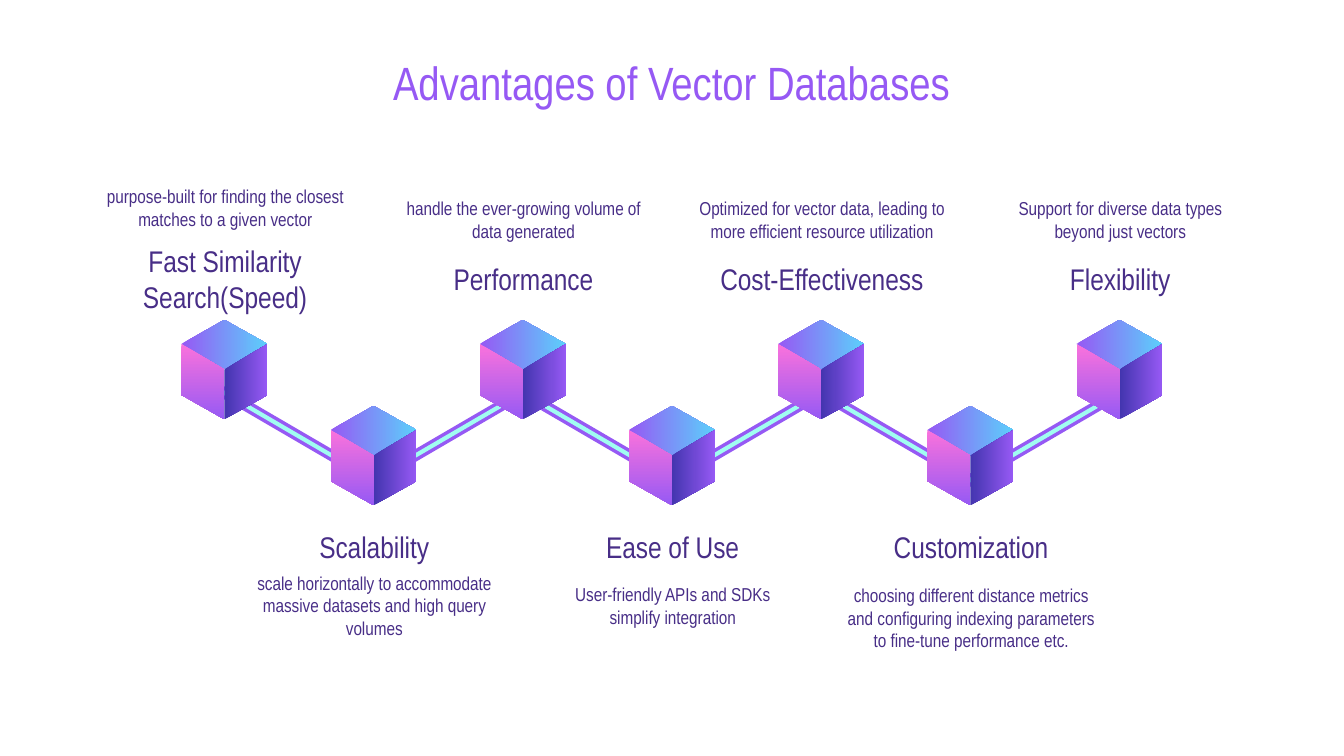
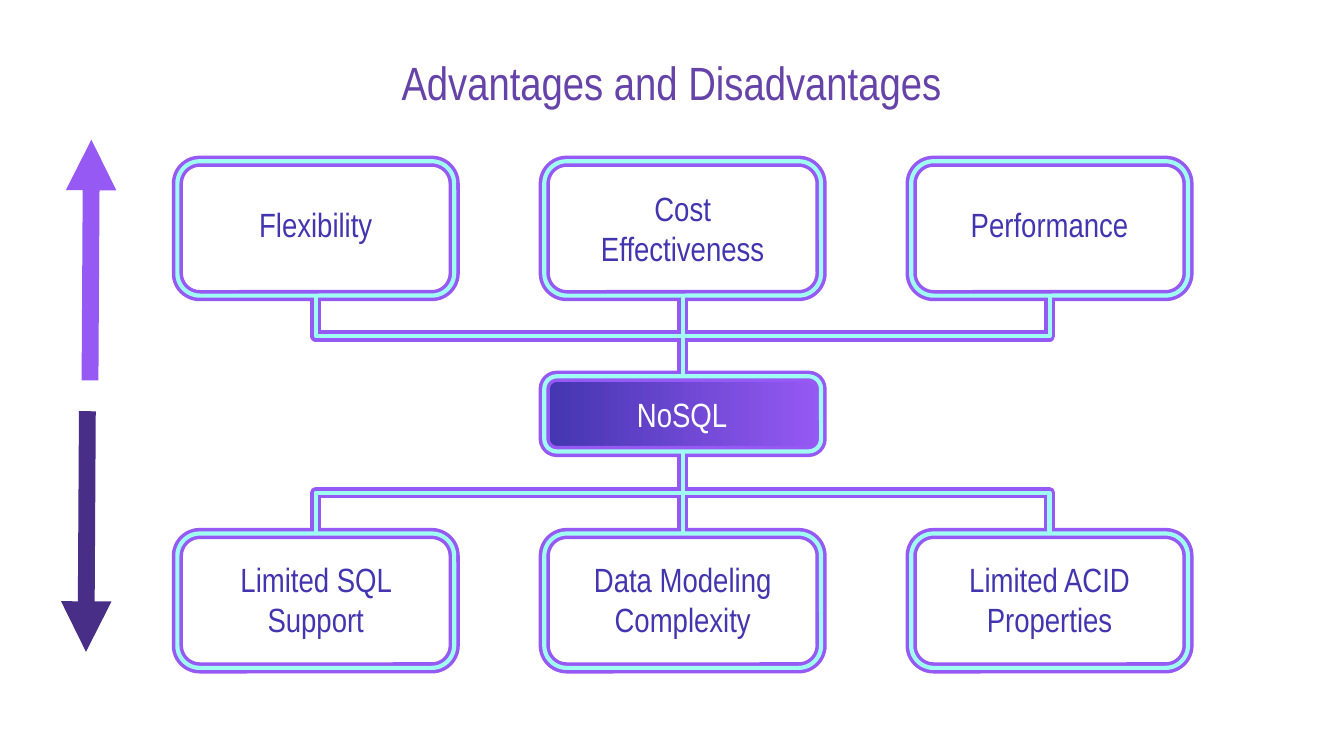
from lxml.etree import SubElement
from pptx import Presentation
from pptx.dml.color import RGBColor
from pptx.enum.shapes import MSO_CONNECTOR, MSO_SHAPE
from pptx.enum.text import MSO_ANCHOR, MSO_AUTO_SIZE, PP_ALIGN
from pptx.oxml.ns import qn
from pptx.util import Inches, Pt

FONT = "Arial Narrow"
PURPLE = RGBColor(0x96, 0x59, 0xF4)
MUTED_PURPLE = RGBColor(0x65, 0x43, 0xA8)
DARK_PURPLE = RGBColor(0x48, 0x2E, 0x87)
INDIGO = RGBColor(0x43, 0x35, 0xAF)
SKY = RGBColor(0x5C, 0xCF, 0xFB)
PINK = RGBColor(0xFA, 0x72, 0xDC)
AQUA = RGBColor(0xA0, 0xFD, 0xF1)
WHITE = RGBColor(0xFF, 0xFF, 0xFF)
STROKES = [(PURPLE, 6), (AQUA, 2.25)]

VECTOR_TITLE = "Advantages of Vector Databases"
VECTOR_ADVANTAGES = [
    ("Fast Similarity Search(Speed)", "purpose-built for finding the closest matches to a given vector", 1.24),
    ("Scalability", "scale horizontally to accommodate massive datasets and high query volumes", 4.2),
    ("Performance", "handle the ever-growing volume of data generated", 1.33),
    ("Ease of Use", "User-friendly APIs and SDKs simplify integration", 4.2),
    ("Cost-Effectiveness", "Optimized for vector data, leading to more efficient resource utilization", 1.33),
    ("Customization", "choosing different distance metrics and configuring indexing parameters "
                      "to fine-tune performance etc.", 4.29),
    ("Flexibility", "Support for diverse data types beyond just vectors", 1.33),
]
CUBE_FACES = [
    ([(0, 0.37), (-0.32, 0.18), (0, 0), (0.32, 0.18)], PURPLE, SKY, 0),
    ([(-0.32, 0.18), (-0.32, 0.56), (0, 0.74), (0, 0.37)], PINK, PURPLE, 270),
    ([(0.32, 0.18), (0, 0.37), (0, 0.74), (0.32, 0.56)], INDIGO, PURPLE, 0),
]

NOSQL_TITLE = "Advantages and Disadvantages"
HUB_TEXT = "NoSQL"
ADVANTAGES = ["Flexibility", "Cost\nEffectiveness", "Performance"]
DISADVANTAGES = ["Limited SQL Support", "Data Modeling Complexity", "Limited ACID Properties"]
ARROWS = [
    ((0.67, 2.83), (0.68, 1.04), PURPLE),
    ((0.65, 3.06), (0.64, 4.85), DARK_PURPLE),
]

BOX_WIDTH, BOX_HEIGHT, BOX_STEP, BOX_LEFT = 2.06, 1, 2.73, 1.32
HUB_TOP, HUB_HEIGHT = 2.8, 0.56
ROWS = [(1.2, 1.32, ADVANTAGES), (3.97, 4.11, DISADVANTAGES)]


def write(shape, text, size, color):
    frame = shape.text_frame
    frame.text = text
    frame.word_wrap = True
    frame.auto_size = MSO_AUTO_SIZE.NONE
    frame.vertical_anchor = MSO_ANCHOR.MIDDLE
    frame.margin_left = frame.margin_right = frame.margin_top = frame.margin_bottom = Inches(0.1)
    for paragraph in frame.paragraphs:
        paragraph.alignment = PP_ALIGN.CENTER
        paragraph.font.name = FONT
        paragraph.font.size = Pt(size)
        paragraph.font.color.rgb = color


def add_text(slide, text, left, top, width, height, **text_format):
    box = slide.shapes.add_textbox(Inches(left), Inches(top), Inches(width), Inches(height))
    write(box, text, **text_format)


def add_slide(presentation, title, color):
    slide = presentation.slides.add_slide(presentation.slide_layouts[5])
    shape = slide.shapes.title
    shape.left, shape.top, shape.width, shape.height = map(Inches, (0.56, 0.33, 8.87, 0.56))
    write(shape, title, size=25, color=color)
    return slide


def fill_gradient(shape, first, last, angle=0):
    shape.fill.gradient()
    shape.fill.gradient_angle = angle
    for stop, color in zip(shape.fill.gradient_stops, (first, last)):
        stop.color.rgb = color


def add_line(slide, start, end, color, width, kind=MSO_CONNECTOR.STRAIGHT):
    connector = slide.shapes.add_connector(kind, *map(Inches, (*start, *end)))
    connector.line.color.rgb = color
    connector.line.width = Pt(width)
    SubElement(connector._element.spPr, qn("a:effectLst"))
    return connector


def add_arrow(slide, start, tip, color):
    connector = add_line(slide, start, tip, color, 9)
    SubElement(connector._element.spPr.find(qn("a:ln")), qn("a:tailEnd"), type="triangle")


def add_branch(slide, box_x, box_y, hub_x, hub_y, color, width):
    on_left, on_top = box_x < hub_x, box_y < hub_y
    middle_x, middle_y = (box_x + hub_x) / 2, (box_y + hub_y) / 2
    half_width, half_height = abs(hub_y - box_y) / 2, abs(hub_x - box_x) / 2
    if on_left == on_top:
        half_width = -half_width
    start = middle_x - half_width, middle_y - half_height
    end = middle_x + half_width, middle_y + half_height
    connector = add_line(slide, start, end, color, width, MSO_CONNECTOR.ELBOW)
    turn = 270 if on_left else 90
    connector._element.spPr.find(qn("a:xfrm")).set("rot", str(turn * 60000))


def add_cube(slide, center, top):
    group = slide.shapes.add_group_shape()
    for points, first, last, angle in CUBE_FACES:
        corners = [(Inches(center + x), Inches(top + y)) for x, y in points]
        builder = group.shapes.build_freeform(*corners[0])
        builder.add_line_segments(corners[1:], close=True)
        face = builder.convert_to_shape()
        face.shadow.inherit = False
        face.line.fill.background()
        fill_gradient(face, first, last, angle)


def add_box(slide, left, top, height, color, width):
    box = slide.shapes.add_shape(
        MSO_SHAPE.ROUNDED_RECTANGLE, Inches(left), Inches(top), Inches(BOX_WIDTH), Inches(height))
    box.shadow.inherit = False
    box.fill.background()
    box.line.color.rgb = color
    box.line.width = Pt(width)
    return box


def build_vector_slide(presentation):
    slide = add_slide(presentation, VECTOR_TITLE, PURPLE)
    centers = [5 + 1.11 * (index - 3) for index in range(len(VECTOR_ADVANTAGES))]
    for index in range(len(centers) - 1):
        upper, lower = centers[index], centers[index + 1]
        outward = -1
        if index % 2:
            upper, lower, outward = lower, upper, 1
        for color, width in STROKES:
            add_line(slide, (upper + outward * 0.23, 2.79), (lower - outward * 0.05, 3.6), color, width)
    for index, (center, (name, detail, detail_top)) in enumerate(zip(centers, VECTOR_ADVANTAGES)):
        is_lower = index % 2
        left = center - 1.02
        add_cube(slide, center, 3.02 if is_lower else 2.38)
        add_text(slide, name, left, 3.93 if is_lower else 1.93, 2.05, 0.28, size=16, color=DARK_PURPLE)
        add_text(slide, detail, left, detail_top, 2.05, 0.61, size=10, color=DARK_PURPLE)


def build_nosql_slide(presentation):
    slide = add_slide(presentation, NOSQL_TITLE, MUTED_PURPLE)
    lefts = [BOX_LEFT + BOX_STEP * column for column in range(3)]
    hub_x = lefts[1] + BOX_WIDTH / 2
    for color, width in STROKES:
        hub = add_box(slide, lefts[1], HUB_TOP, HUB_HEIGHT, color, width)
        if color == PURPLE:
            fill_gradient(hub, INDIGO, PURPLE)
        for top, _, _ in ROWS:
            is_above = top < HUB_TOP
            box_y = top + BOX_HEIGHT if is_above else top
            hub_y = HUB_TOP if is_above else HUB_TOP + HUB_HEIGHT
            for column, left in enumerate(lefts):
                box = add_box(slide, left, top, BOX_HEIGHT, color, width)
                if column == 1:
                    stem = add_line(slide, (hub_x, box_y), (hub_x, hub_y), color, width)
                    stem.begin_connect(box, 2 if is_above else 0)
                    stem.end_connect(hub, 0 if is_above else 2)
                else:
                    add_branch(slide, left + BOX_WIDTH / 2, box_y, hub_x, hub_y, color, width)
    for _, text_top, names in ROWS:
        for left, name in zip(lefts, names):
            height = 0.75 if "\n" in name else 0.69
            add_text(slide, name, left + 0.08, text_top, 1.9, height, size=18, color=INDIGO)
    add_text(slide, HUB_TEXT, 4.23, 2.94, 1.69, 0.28, size=18, color=WHITE)
    for start, tip, color in ARROWS:
        add_arrow(slide, start, tip, color)


def main():
    presentation = Presentation()
    presentation.slide_width = Inches(10)
    presentation.slide_height = Inches(10 * 9 / 16)
    build_vector_slide(presentation)
    build_nosql_slide(presentation)
    presentation.save("out.pptx")


if __name__ == "__main__":
    main()
